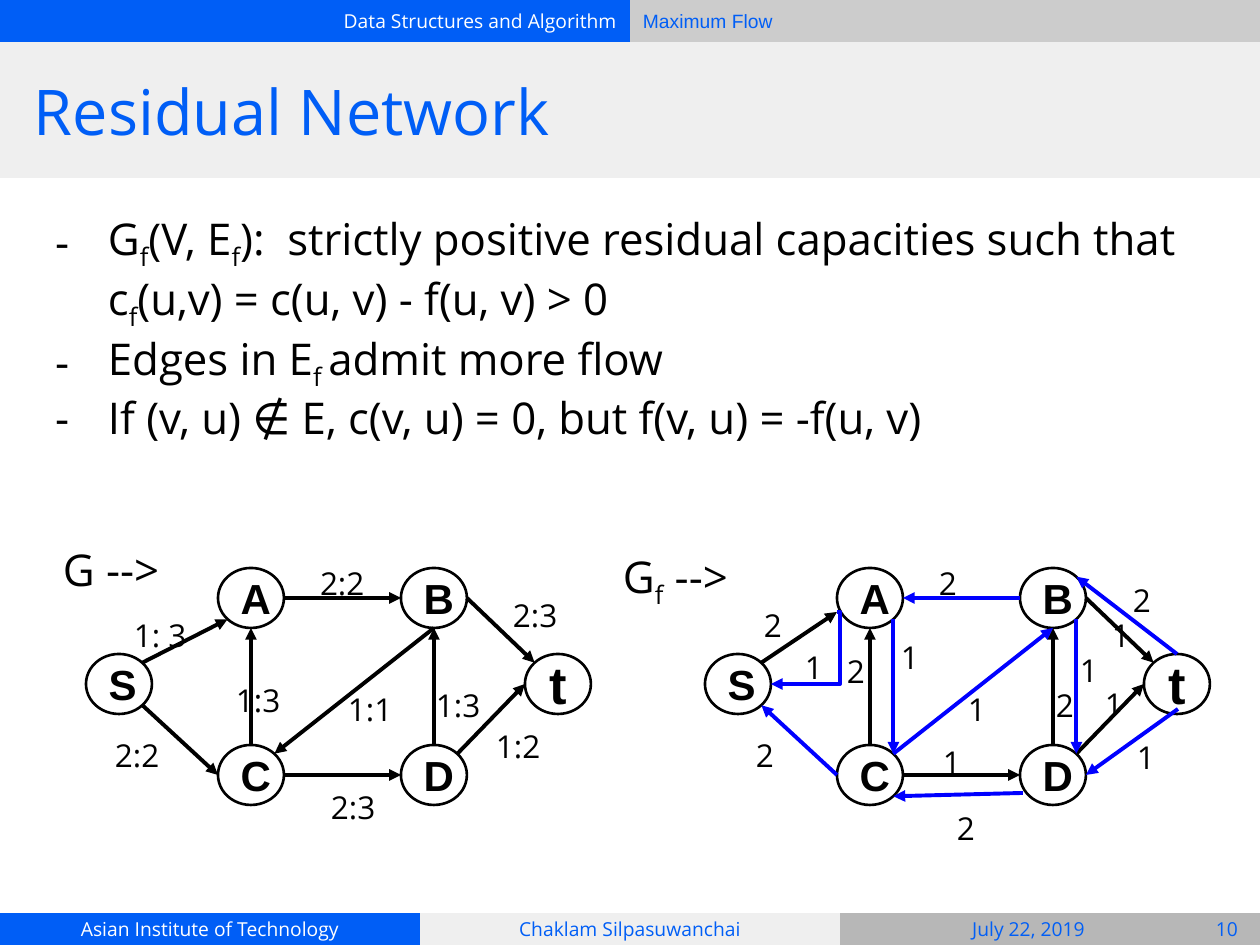
import lxml.etree
import pptx
import pptx.dml.color
import pptx.enum.shapes
import pptx.enum.text
import pptx.oxml.ns
import pptx.util

EMU_PER_PX = 914400 // 126
INSET = 13
BLUE, EDGE_BLUE, BLACK, WHITE = "005EF6", "0000FF", "000000", "FFFFFF"
LIGHT, MIDDLE, DARK = "EFEFEF", "CCCCCC", "B7B7B7"
NODE_WIDTH, NODE_HEIGHT = 66, 60
GRAPH_SHIFT = 619

NODES = {"S": (86, 654), "t": (525, 654), "A": (218, 568),
         "C": (218, 745), "D": (401, 745), "B": (401, 568)}
DIAGONAL = 0.71
COMPASS = {"N": (0, -1), "S": (0, 1), "W": (-1, 0), "E": (1, 0),
           "NE": (DIAGONAL, -DIAGONAL), "NW": (-DIAGONAL, -DIAGONAL),
           "SE": (DIAGONAL, DIAGONAL), "SW": (-DIAGONAL, DIAGONAL)}

# Ends are "node side" or an (x, y) point; the arrowhead is at the second.
FLOW_EDGES = [("S NE", "A SW"), ("S SE", "C W"), ("A E", "B W"),
              ("C N", "A S"), ("B S", "C NE"), ("C E", "D W"),
              ("D N", "B S"), ("B E", "t NW"), ("D NE", "t W")]
FORWARD_EDGES = [("S NE", (837, 612)), ("C N", "A S"), ("C E", "D W"),
                 ("D N", "B S"), ("B E", "t NW"), ("D NE", "t W")]
BACKWARD_EDGES = [("C W", "S SE"), ("B W", "A E"), ("C NE", "B S"),
                  ("A SE", "C NE"), ((1023, 793), "C SE"),
                  ("B SE", "D NE"), ("t N", "B NE"), ((1178, 709), "D E")]

FLOW_LABELS = [("1: 3", 121, 603, 86), ("2:2", 102, 723, 105),
               ("1:3", 223, 668, 76), ("1:3", 423, 673, 86),
               ("2:3", 500, 583, 105), ("2:3", 318, 775, 86),
               ("1:2", 483, 714, 86), ("2:2", 307, 551, 117),
               ("1:1", 335, 677, 105)]
RESIDUAL_LABELS = [("2", 751, 593, 86), ("2", 743, 723, 50),
                   ("2", 834, 639, 37), ("2", 1043, 673, 86),
                   ("1", 1099, 603, 37), ("1", 1092, 672, 50),
                   ("2", 926, 551, 50), ("1", 955, 677, 105),
                   ("1", 792, 635, 86), ("1", 888, 625, 37),
                   ("1", 930, 730, 37), ("2", 944, 796, 37),
                   ("1", 1067, 638, 37), ("2", 1120, 568, 50),
                   ("1", 1124, 725, 50)]

# Every second part between bars is a subscript.
BULLETS = [
    "G|f|(V, E|f|):  strictly positive residual capacities such that "
    "c|f|(u,v) = c(u, v) - f(u, v) > 0",
    "Edges in E|f |admit more flow",
    "If (v, u) ∉ E, c(v, u) = 0, but f(v, u) = -f(u, v)",
]


def px(length):
    return pptx.util.Emu(round(length * EMU_PER_PX))


def color(hex_string):
    return pptx.dml.color.RGBColor.from_string(hex_string)


def assign(target, values):
    for name, value in values.items():
        setattr(target, name, value)


def add_child(parent, tag, **attributes):
    return lxml.etree.SubElement(parent, pptx.oxml.ns.qn(tag), attributes)


def node_point(end, shift):
    """Turn "node side" into a point on that node; pass points through."""
    if not isinstance(end, str):
        return end
    name, side = end.split()
    left, top = NODES[name]
    across, down = COMPASS[side]
    return (left + shift + NODE_WIDTH / 2 * (1 + across),
            top + NODE_HEIGHT / 2 * (1 + down))


class SlideBuilder:
    font = "Open Sans"
    node_font = "Arial"
    alignments = {"left": pptx.enum.text.PP_ALIGN.LEFT,
                  "center": pptx.enum.text.PP_ALIGN.CENTER,
                  "right": pptx.enum.text.PP_ALIGN.RIGHT}
    anchors = {"top": pptx.enum.text.MSO_ANCHOR.TOP,
               "middle": pptx.enum.text.MSO_ANCHOR.MIDDLE}

    def __init__(self, slide):
        self.slide = slide

    def set_text(self, shape, paragraphs, size, ink, font=None, bold=False,
                 align="left", anchor="top", before=0):
        """Fill a shape with paragraphs; before is the space above the first."""
        frame = shape.text_frame
        margins = dict.fromkeys(
            ("margin_left", "margin_right", "margin_top", "margin_bottom"), px(INSET))
        assign(frame, {**margins, "word_wrap": True,
                       "auto_size": pptx.enum.text.MSO_AUTO_SIZE.NONE,
                       "vertical_anchor": self.anchors[anchor]})
        for index, text in enumerate(paragraphs):
            paragraph = frame.add_paragraph() if index else frame.paragraphs[0]
            assign(paragraph, {"alignment": self.alignments[align],
                               "space_before": pptx.util.Pt(0 if index else before)})
            for position, part in enumerate(text.split("|")):
                run = paragraph.add_run()
                run.text = part
                assign(run.font, {"name": font or self.font, "bold": bold,
                                  "size": pptx.util.Pt(size)})
                run.font.color.rgb = color(ink)
                if position % 2:
                    run._r.get_or_add_rPr().set("baseline", "-25000")

    def shape(self, kind, box, fill):
        shape = self.slide.shapes.add_shape(kind, *map(px, box))
        shape.shadow.inherit = False
        shape.fill.solid()
        shape.fill.fore_color.rgb = color(fill)
        return shape

    def bar(self, box, fill, text=None, ink=BLUE, align="center", font=None):
        """Add a plain band behind the placeholders."""
        shape = self.shape(pptx.enum.shapes.MSO_SHAPE.RECTANGLE, box, fill)
        shape.line.fill.background()
        if text:
            self.set_text(shape, [text], 11, ink, font, align=align, anchor="middle")
        self.slide.shapes._spTree.insert(2, shape._element)

    def placeholder(self, index, box, paragraphs, size, ink, **style):
        shape = self.slide.placeholders[index]
        assign(shape, dict(zip(("left", "top", "width", "height"), map(px, box))))
        self.set_text(shape, paragraphs, size, ink, **style)
        return shape

    def bullets(self, box, paragraphs):
        shape = self.placeholder(1, box, paragraphs, 25, BLACK, before=6)
        for paragraph in shape.text_frame.paragraphs:
            properties = paragraph._p.get_or_add_pPr()
            properties.set("marL", str(px(63)))
            properties.set("indent", str(px(-53)))
            add_child(add_child(properties, "a:buClr"), "a:srgbClr", val=BLACK)
            add_child(properties, "a:buFont", typeface=self.font)
            add_child(properties, "a:buChar", char="-")

    def text(self, box, text, size, ink=BLACK, **style):
        shape = self.slide.shapes.add_textbox(*map(px, box))
        self.set_text(shape, [text], size, ink, **style)

    def node(self, name, left, top):
        shape = self.shape(pptx.enum.shapes.MSO_SHAPE.OVAL,
                           (left, top, NODE_WIDTH, NODE_HEIGHT), WHITE)
        shape.line.color.rgb = color(BLACK)
        shape.line.width = pptx.util.Pt(1.5)
        self.set_text(shape, [name], 30 if name == "t" else 24, BLACK, self.node_font,
                      bold=True, align="center", anchor="middle")

    def arrow(self, start, end, ink, bend=None):
        """Add an arrow; bend places an elbow's turn, in thousandths of a percent."""
        kinds = pptx.enum.shapes.MSO_CONNECTOR
        kind = kinds.STRAIGHT if bend is None else kinds.ELBOW
        connector = self.slide.shapes.add_connector(kind, *map(px, (*start, *end)))
        connector.line.color.rgb = color(ink)
        connector.line.width = pptx.util.Pt(2.25)
        properties = connector._element.spPr
        add_child(properties.find(pptx.oxml.ns.qn("a:ln")), "a:tailEnd", type="triangle")
        add_child(properties, "a:effectLst")
        if bend is not None:
            guides = properties.find(".//" + pptx.oxml.ns.qn("a:avLst"))
            add_child(guides, "a:gd", name="adj1", fmla=f"val {bend}")

    def nodes(self, shift):
        for name, (left, top) in NODES.items():
            self.node(name, left + shift, top)

    def edges(self, edges, shift, ink):
        for start, end in edges:
            self.arrow(node_point(start, shift), node_point(end, shift), ink)

    def labels(self, labels):
        for text, left, top, width in labels:
            self.text((left, top, width, 38), text, 18)


def main():
    presentation = pptx.Presentation()
    presentation.slide_width, presentation.slide_height = px(1260), px(945)
    builder = SlideBuilder(presentation.slides.add_slide(presentation.slide_layouts[1]))

    builder.bar((0, 0, 630, 42), BLUE, "Data Structures and Algorithm", WHITE, "right")
    builder.bar((630, 0, 630, 42), MIDDLE, "Maximum Flow", align="left", font="Arial")
    builder.bar((0, 42, 1260, 136), LIGHT)
    builder.bar((0, 913, 420, 32), BLUE, "Asian Institute of Technology", WHITE)
    builder.bar((420, 913, 420, 32), LIGHT, "Chaklam Silpasuwanchai")
    builder.bar((840, 913, 420, 32), DARK)
    for text, left, width in (("July 22, 2019", 850, 357), ("10", 1194, 66)):
        builder.text((left, 913, width, 32), text, 11, BLUE, align="center", anchor="middle")

    builder.placeholder(0, (21, 42, 1218, 136), ["Residual Network"], 36, BLUE,
                        anchor="middle")
    builder.bullets((32, 199, 1207, 311), BULLETS)

    builder.text((50, 530, 176, 136), "G -->", 25, before=6)
    builder.nodes(0)
    builder.edges(FLOW_EDGES, 0, BLACK)
    builder.labels(FLOW_LABELS)

    builder.text((610, 537, 176, 136), "G|f| -->", 25, before=6)
    builder.nodes(GRAPH_SHIFT)
    builder.edges(FORWARD_EDGES, GRAPH_SHIFT, BLACK)
    builder.edges(BACKWARD_EDGES, GRAPH_SHIFT, EDGE_BLUE)
    builder.arrow((837, 612), node_point("S E", GRAPH_SHIFT), EDGE_BLUE, bend=-4900)
    builder.labels(RESIDUAL_LABELS)

    presentation.save("out.pptx")


if __name__ == "__main__":
    main()
